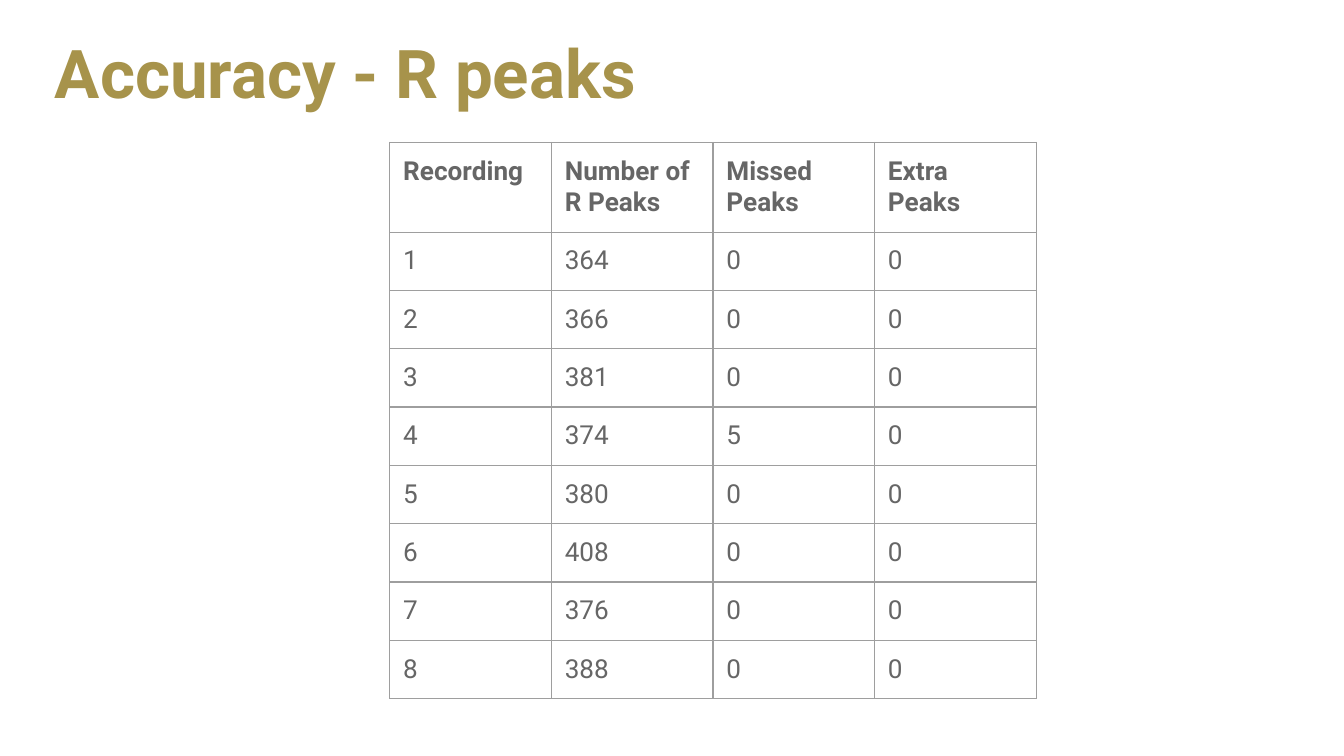
from lxml.etree import SubElement
from pptx import Presentation
from pptx.dml.color import RGBColor
from pptx.enum.text import MSO_ANCHOR
from pptx.oxml.ns import qn
from pptx.util import Inches, Pt

SLIDE_WIDTH = 10
SLIDE_HEIGHT = SLIDE_WIDTH * 9 / 16

GOLD = RGBColor(0xA7, 0x93, 0x4B)
GRAY = RGBColor(0x66, 0x66, 0x66)
BORDER = RGBColor(0x9E, 0x9E, 0x9E)
FONT = "Roboto"

HEADINGS = ["Recording", "Number of R Peaks", "Missed Peaks", "Extra Peaks"]
R_PEAKS = [364, 366, 381, 374, 380, 408, 376, 388]
MISSED = {4: 5}  # recording: missed peaks
EXTRA = {}  # recording: extra peaks


def write_text(frame, text, *, size, color, bold=False, line_spacing=None):
    paragraph = frame.paragraphs[0]
    paragraph.line_spacing = line_spacing
    run = paragraph.add_run()
    run.text = text
    run.font.name = FONT
    run.font.size = Pt(size)
    run.font.bold = bold
    run.font.color.rgb = color


def add_title(slide, left, top, width, height):
    title = slide.shapes.add_textbox(
        Inches(left), Inches(top), Inches(width), Inches(height))
    frame = title.text_frame
    frame.word_wrap = True
    frame.vertical_anchor = MSO_ANCHOR.MIDDLE
    write_text(frame, "Accuracy - R peaks", size=36, color=GOLD, bold=True,
               line_spacing=0.9)


def draw_borders(cell):
    properties = cell._tc.get_or_add_tcPr()
    # Border lines must come before the fill
    for position, side in enumerate(("a:lnL", "a:lnR", "a:lnT", "a:lnB")):
        line = SubElement(properties, qn(side), w=str(Pt(0.75)))
        fill = SubElement(line, qn("a:solidFill"))
        SubElement(fill, qn("a:srgbClr"), val=str(BORDER))
        properties.insert(position, line)


def add_peaks_table(slide, left, top, width, row_height):
    records = [[n, peaks, MISSED.get(n, 0), EXTRA.get(n, 0)]
               for n, peaks in enumerate(R_PEAKS, start=1)]
    rows = [HEADINGS] + records
    table = slide.shapes.add_table(
        len(rows), len(HEADINGS), Inches(left), Inches(top),
        Inches(width), Inches(row_height * len(rows))).table
    table.horz_banding = False

    # Rows grow to fit their text
    for row_index, values in enumerate(rows):
        for column_index, value in enumerate(values):
            cell = table.cell(row_index, column_index)
            cell.margin_left = cell.margin_right = Inches(0.1)
            cell.margin_top = cell.margin_bottom = Inches(0.1)
            cell.fill.background()
            draw_borders(cell)
            write_text(cell.text_frame, str(value), size=14, color=GRAY,
                       bold=row_index == 0)


def main():
    presentation = Presentation()
    presentation.slide_width = Inches(SLIDE_WIDTH)
    presentation.slide_height = Inches(SLIDE_HEIGHT)
    slide = presentation.slides.add_slide(presentation.slide_layouts[6])

    # Heading
    add_title(slide, 0.31, 0.16, 9.38, 0.83)
    # Peak counts per recording
    add_peaks_table(slide, 2.9, 1.06, 4.81, row_height=0.42)

    presentation.save("out.pptx")


if __name__ == "__main__":
    main()
